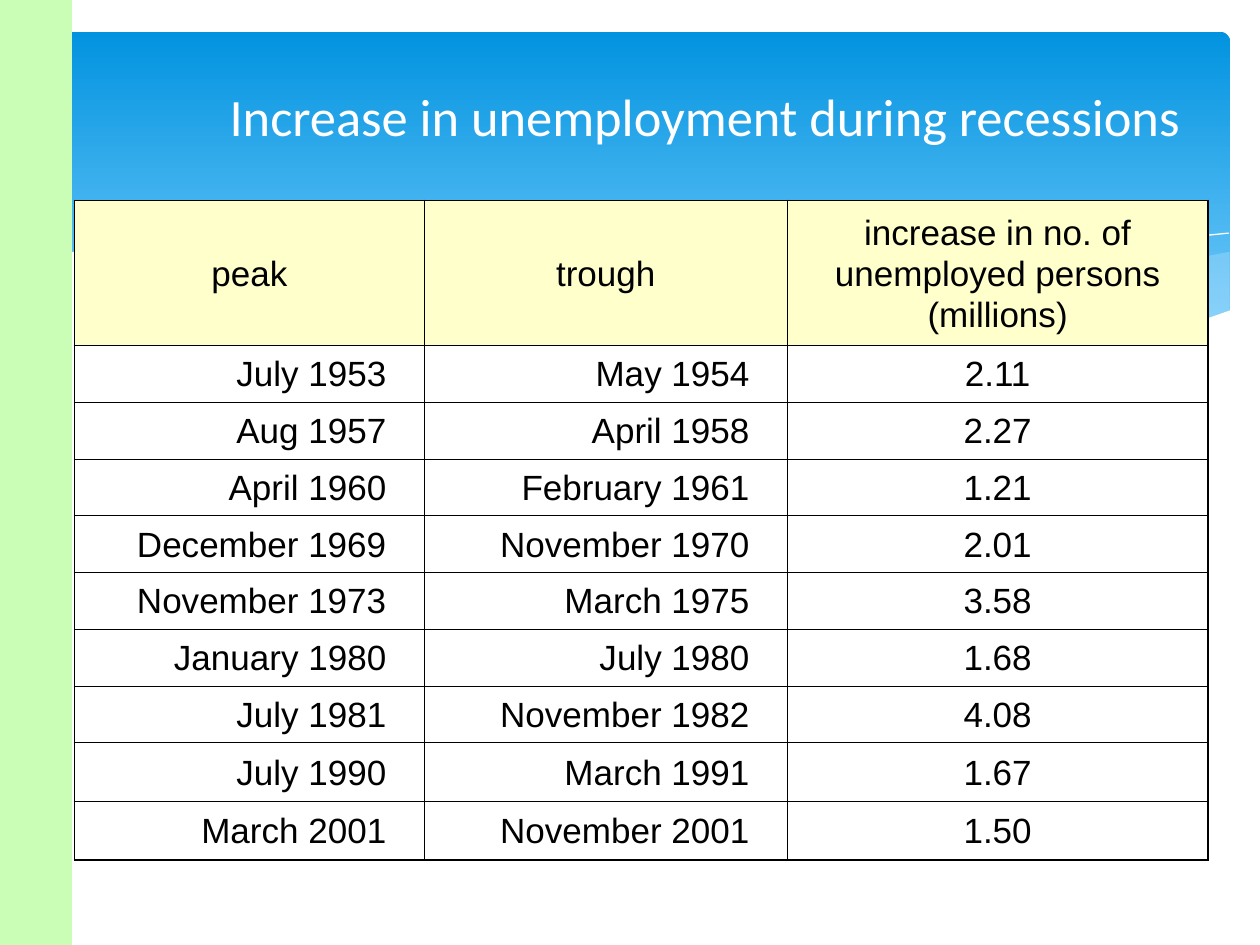
from lxml import etree
from pptx import Presentation
from pptx.dml.color import RGBColor
from pptx.enum.shapes import MSO_SHAPE
from pptx.enum.text import MSO_ANCHOR, PP_ALIGN
from pptx.oxml.ns import qn
from pptx.util import Cm, Pt

CENTER, RIGHT = PP_ALIGN.CENTER, PP_ALIGN.RIGHT
MIDDLE = MSO_ANCHOR.MIDDLE
RECT, ROUND_RECT = MSO_SHAPE.RECTANGLE, MSO_SHAPE.ROUNDED_RECTANGLE

COLORS = {
    "band_top": "0293E0",
    "band_bottom": "83D3FE",
    "wave": "C6E7FC",
    "side": "CAFDB5",
    "header": "FFFFCC",
    "white": "FFFFFF",
    "black": "000000",
}
OUTER, INNER = Pt(1.08), Pt(0.45)

# Wave outlines as (x, y) points in cm
RIGHT_WAVE = [
    (24.77, 5.08), (23.01, 5.41), (21.87, 5.66), (19.79, 6.15), (17.93, 6.53),
    (16.79, 6.73), (18.24, 6.93), (19.53, 7.04), (20.68, 7.06), (21.92, 6.99),
    (22.99, 6.83), (23.93, 6.58), (24.79, 6.27), (24.79, 5.08),
]
MIDDLE_WAVE = [
    (22.68, 6.93), (21.26, 6.73), (19.69, 6.45), (17.93, 6.1), (15.98, 5.64),
    (14.45, 5.28), (13.06, 5.03), (11.79, 4.85), (10.67, 4.75), (9.17, 4.7),
    (7.95, 4.78), (7.26, 4.85), (8.69, 5.05), (10.26, 5.36), (11.4, 5.64),
    (13.46, 6.1), (15.27, 6.48), (16.89, 6.76), (18.34, 6.96), (19.63, 7.06),
    (20.78, 7.09), (21.77, 7.04),
]
FALLING_LINE = [
    (7.85, 4.95), (8.71, 4.83), (9.83, 4.75), (11, 4.75), (12.42, 4.83),
    (14.12, 5), (16.15, 5.28), (18.47, 5.74), (21.11, 6.38), (23.04, 6.91),
]
RISING_LINE = [
    (15.57, 6.53), (17.65, 5.97), (19.71, 5.49), (22, 5.05), (23.47, 4.83),
    (24.77, 4.7),
]
WHITE_WAVE = [
    (24.82, 6.25), (23.88, 6.58), (22.83, 6.83), (21.59, 6.99), (20.55, 7.04),
    (18.9, 6.96), (16.97, 6.73), (14.71, 6.35), (12.78, 5.92), (11.35, 5.59),
    (9.27, 5.13), (7.42, 4.83), (5.84, 4.7), (4.47, 4.67), (3.02, 4.75),
    (1.91, 4.95), (1.02, 5.21), (0.58, 5.41), (0.58, 8.36), (24.82, 8.36),
]

COL_WIDTHS = [7.05, 7.32, 8.48]
ROW_HEIGHTS = [2.92] + [1.14] * 7 + [1.18] * 2
ROWS = [
    ("peak", "trough", "increase in no. of unemployed persons (millions)"),
    ("July 1953", "May 1954", "2.11"),
    ("Aug 1957", "April 1958", "2.27"),
    ("April 1960", "February 1961", "1.21"),
    ("December 1969", "November 1970", "2.01"),
    ("November 1973", "March 1975", "3.58"),
    ("January 1980", "July 1980", "1.68"),
    ("July 1981", "November 1982", "4.08"),
    ("July 1990", "March 1991", "1.67"),
    ("March 2001", "November 2001", "1.50"),
]


def rgb(name):
    return RGBColor.from_string(COLORS[name])


def fill_solid(fill, color):
    fill.solid()
    fill.fore_color.rgb = rgb(color)


def add_block(slide, kind, left, top, width, height):
    sp = slide.shapes.add_shape(kind, Cm(left), Cm(top), Cm(width), Cm(height))
    sp.shadow.inherit = False
    sp.line.fill.background()
    return sp


def add_band(slide):
    sp = add_block(slide, ROUND_RECT, 0.64, 0.64, 24.16, 6.86)
    sp.adjustments[0] = 0.03
    sp.fill.gradient()
    sp.fill.gradient_angle = 270
    for stop, color in zip(sp.fill.gradient_stops, ("band_top", "band_bottom")):
        stop.color.rgb = rgb(color)


def add_outline(slide, points, closed):
    start, *rest = [(Cm(x), Cm(y)) for x, y in points]
    builder = slide.shapes.build_freeform(*start)
    builder.add_line_segments(rest, close=closed)
    sp = builder.convert_to_shape()
    sp.shadow.inherit = False
    return sp


def add_wave(slide, points, color, opacity=100):
    sp = add_outline(slide, points, True)
    sp.line.fill.background()
    fill_solid(sp.fill, color)
    if opacity < 100:
        clr = sp.fill._xPr.find(qn("a:solidFill"))[0]
        etree.SubElement(clr, qn("a:alpha"), val=str(opacity * 1000))


def add_wave_line(slide, points):
    sp = add_outline(slide, points, False)
    sp.fill.background()
    sp.line.color.rgb = rgb("white")
    sp.line.width = 0


def format_text(tf, align, font, size, color):
    p = tf.paragraphs[0]
    p.alignment = align
    for r in p.runs:
        r.font.name = font
        r.font.size = Pt(size)
        r.font.color.rgb = rgb(color)


def add_title(slide, text):
    sp = slide.shapes.add_textbox(Cm(4.22), Cm(0.66), Cm(19.99), Cm(3.33))
    tf = sp.text_frame
    tf.word_wrap = True
    tf.vertical_anchor = MIDDLE
    tf.text = text
    format_text(tf, CENTER, "Calibri", 30, "white")


def set_borders(cell, widths):
    """Draw the left, right, top and bottom borders in the given widths."""
    tcPr = cell._tc.get_or_add_tcPr()
    for side, width in zip("LRTB", widths):
        ln = etree.SubElement(tcPr, qn(f"a:ln{side}"), w=str(width))
        fill = etree.SubElement(ln, qn("a:solidFill"))
        etree.SubElement(fill, qn("a:srgbClr"), val=COLORS["black"])


def add_recession_table(slide):
    n_rows, n_cols = len(ROWS), len(COL_WIDTHS)
    table = slide.shapes.add_table(
        n_rows, n_cols, Cm(1.5), Cm(4.04),
        Cm(sum(COL_WIDTHS)), Cm(sum(ROW_HEIGHTS))).table
    for col, width in zip(table.columns, COL_WIDTHS):
        col.width = Cm(width)
    for i, (height, values) in enumerate(zip(ROW_HEIGHTS, ROWS)):
        table.rows[i].height = Cm(height)
        for j, value in enumerate(values):
            cell = table.cell(i, j)
            is_date = i > 0 and j < n_cols - 1
            on_edge = (j == 0, j == n_cols - 1, i == 0, i == n_rows - 1)
            set_borders(cell, [OUTER if edge else INNER for edge in on_edge])
            fill_solid(cell.fill, "white" if i else "header")
            cell.vertical_anchor = MIDDLE
            cell.margin_right = Cm(0.76 if is_date else 0.25)
            cell.text_frame.text = value
            cell.text_frame.paragraphs[0].line_spacing = 1.05
            format_text(cell.text_frame, RIGHT if is_date else CENTER,
                        "Arial", 20, "black")


def main():
    prs = Presentation()
    prs.slide_width, prs.slide_height = Cm(25.4), Cm(19.05)
    slide = prs.slides.add_slide(prs.slide_layouts[6])
    add_band(slide)
    add_wave(slide, RIGHT_WAVE, "wave", 29)
    add_wave(slide, MIDDLE_WAVE, "wave", 40)
    add_wave_line(slide, FALLING_LINE)
    add_wave_line(slide, RISING_LINE)
    add_wave(slide, WHITE_WAVE, "white")
    fill_solid(add_block(slide, RECT, 0, 0, 1.45, 19.05).fill, "side")
    add_title(slide, "Increase in unemployment during recessions")
    add_recession_table(slide)
    prs.save("out.pptx")


if __name__ == "__main__":
    main()
